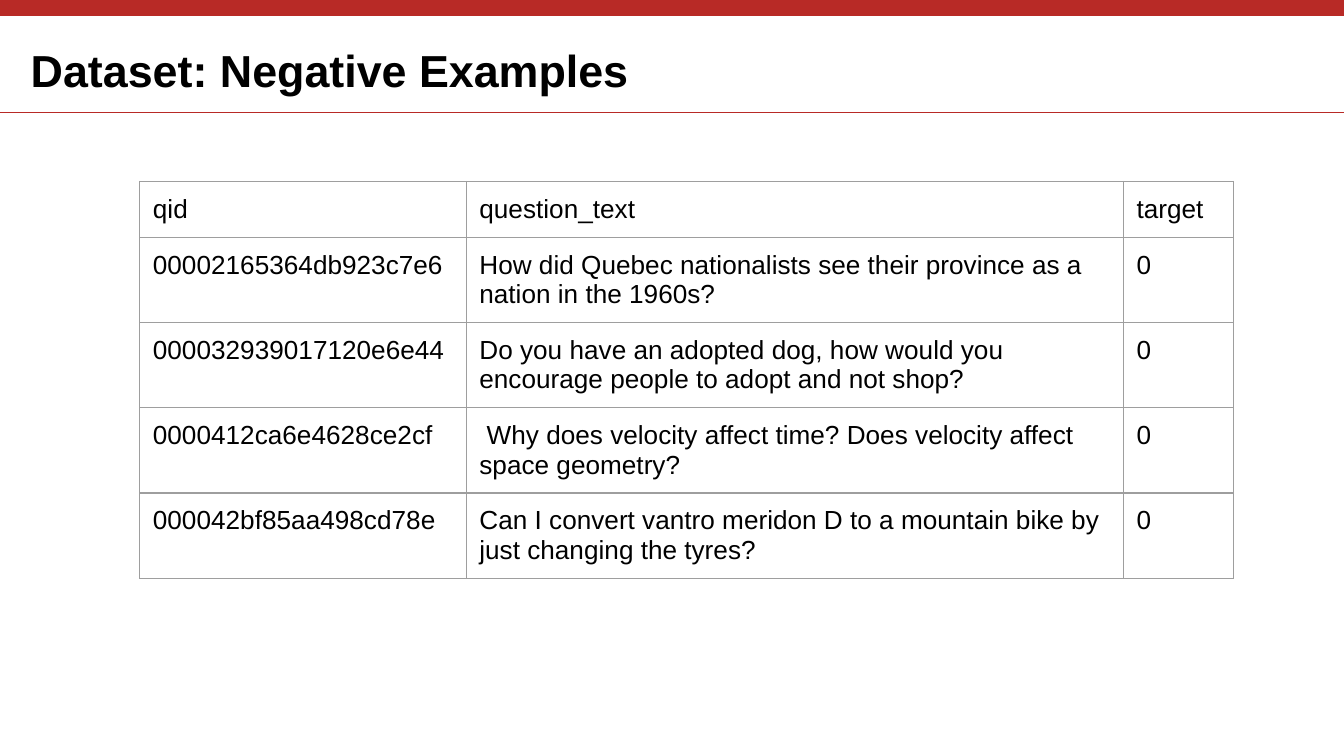
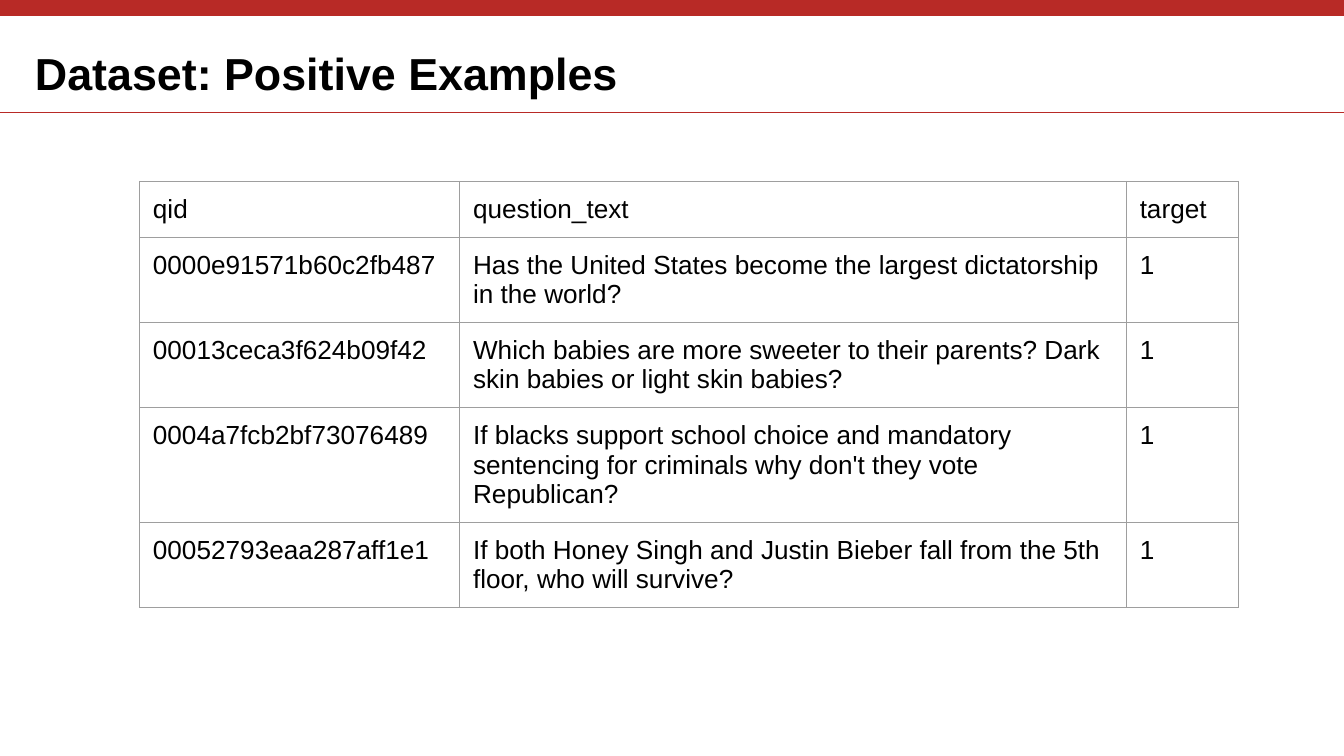
from lxml.etree import SubElement
from pptx import Presentation
from pptx.dml.color import RGBColor
from pptx.enum.shapes import MSO_CONNECTOR, MSO_SHAPE
from pptx.enum.text import MSO_ANCHOR, MSO_AUTO_SIZE, PP_ALIGN
from pptx.oxml.ns import qn
from pptx.util import Cm, Pt

HUES = {"red": "B82A26", "grey": "9E9E9E", "ink": "000000"}
FONT = "Arial"
WIDE, HIGH = 25.4, 14.29
PAD = Cm(0.25)
HEAD = ("qid", "question_text", "target")

PAGES = [
    {
        "title": "Dataset: Negative Examples",
        "box": (0.33, 0.56, 15.67, 1.02),
        "cols": (6.17, 12.42, 2.08),
        "mark": "0",
        "rows": [
            ("00002165364db923c7e6",
             "How did Quebec nationalists see their province as a nation in the 1960s?"),
            ("000032939017120e6e44",
             "Do you have an adopted dog, how would you encourage people to adopt and not shop?"),
            ("0000412ca6e4628ce2cf",
             " Why does velocity affect time? Does velocity affect space geometry?"),
            ("000042bf85aa498cd78e",
             "Can I convert vantro meridon D to a mountain bike by just changing the tyres?"),
        ],
    },
    {
        "title": "Dataset: Positive Examples",
        "box": (0.41, 0.61, 14.99, 1.14),
        "cols": (6.05, 12.6, 2.11),
        "mark": "1",
        "rows": [
            ("0000e91571b60c2fb487",
             "Has the United States become the largest dictatorship in the world?"),
            ("00013ceca3f624b09f42",
             "Which babies are more sweeter to their parents? Dark skin babies or light skin babies?"),
            ("0004a7fcb2bf73076489",
             "If blacks support school choice and mandatory sentencing for criminals "
             "why don't they vote Republican?"),
            ("00052793eaa287aff1e1",
             "If both Honey Singh and Justin Bieber fall from the 5th floor, who will survive?"),
        ],
    },
]


class Deck:
    def __init__(self):
        self.show = Presentation()
        self.show.slide_width = Cm(WIDE)
        self.show.slide_height = Cm(HIGH)
        self.slide = None

    def hue(self, name):
        return RGBColor.from_string(HUES[name])

    def page(self):
        self.slide = self.show.slides.add_slide(self.show.slide_layouts[5])
        self.rule(2.13)
        self.band(0.3)

    def rule(self, top):
        line = self.slide.shapes.add_connector(
            MSO_CONNECTOR.STRAIGHT, 0, Cm(top), Cm(WIDE), Cm(top))
        line.line.color.rgb = self.hue("red")
        line.line.width = Pt(0.75)
        SubElement(line._element.spPr, qn("a:effectLst"))

    def band(self, high):
        bar = self.slide.shapes.add_shape(
            MSO_SHAPE.RECTANGLE, 0, 0, Cm(WIDE), Cm(high))
        bar.shadow.inherit = False
        bar.fill.solid()
        bar.fill.fore_color.rgb = self.hue("red")
        bar.line.fill.background()

    def label(self, frame, text, size, bold=False):
        para = frame.paragraphs[0]
        para.alignment = PP_ALIGN.LEFT
        run = para.add_run()
        run.text = text
        run.font.name = FONT
        run.font.size = Pt(size)
        run.font.bold = bold
        run.font.color.rgb = self.hue("ink")

    def inset(self, item):
        item.margin_left = item.margin_right = PAD
        item.margin_top = item.margin_bottom = PAD
        item.vertical_anchor = MSO_ANCHOR.TOP

    def title(self, text, box):
        shape = self.slide.shapes.title
        shape.left, shape.top, shape.width, shape.height = map(Cm, box)
        frame = shape.text_frame
        frame.word_wrap = True
        frame.auto_size = MSO_AUTO_SIZE.NONE
        self.inset(frame)
        self.label(frame, text, 24, True)

    def edge(self, cell):
        props = cell._tc.get_or_add_tcPr()
        for side in ("a:lnL", "a:lnR", "a:lnT", "a:lnB"):
            line = SubElement(props, qn(side), w=str(Pt(0.75)))
            fill = SubElement(line, qn("a:solidFill"))
            SubElement(fill, qn("a:srgbClr"), val=HUES["grey"])

    def table(self, rows, cols):
        highs = [0.79] + [1.22] * (len(rows) - 1)
        grid = self.slide.shapes.add_table(
            len(rows), len(cols), Cm(2.64), Cm(3.43),
            Cm(sum(cols)), Cm(sum(highs))).table
        grid.first_row = grid.horz_banding = False
        for col, wide in zip(grid.columns, cols):
            col.width = Cm(wide)
        for row, high, texts in zip(grid.rows, highs, rows):
            row.height = Cm(high)
            for cell, text in zip(row.cells, texts):
                self.inset(cell)
                self.edge(cell)
                cell.fill.background()
                self.label(cell.text_frame, text, 14)


def main():
    deck = Deck()
    for page in PAGES:
        deck.page()
        rows = [HEAD] + [row + (page["mark"],) for row in page["rows"]]
        deck.table(rows, page["cols"])
        deck.title(page["title"], page["box"])
    deck.show.save("out.pptx")


if __name__ == "__main__":
    main()
